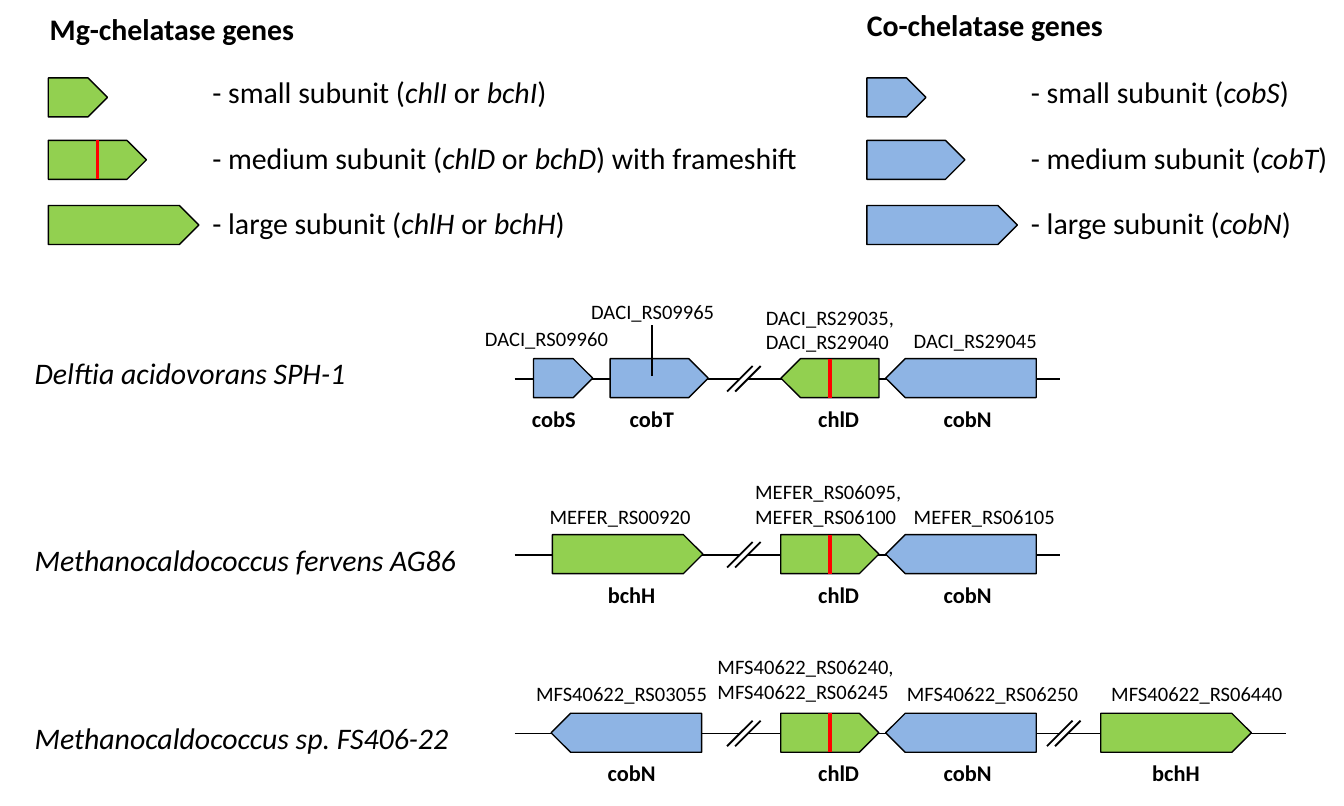
from lxml.etree import SubElement
from pptx import Presentation
from pptx.dml.color import RGBColor
from pptx.enum.shapes import MSO_CONNECTOR as Link, MSO_SHAPE as Kind
from pptx.enum.text import MSO_ANCHOR as Anchor, MSO_AUTO_SIZE as Fit, PP_ALIGN as Align
from pptx.oxml.ns import qn
from pptx.util import Inches, Pt

COLS, ROWS = 100, 60
GREEN, BLUE, SKY = "92D050", "8EB4E4", "8EB4E3"
GENES = {
    "chlI": (4.4, GREEN), "chlD": (7.3, GREEN), "chlH": (11.2, GREEN), "bchH": (11.2, GREEN),
    "cobS": (4.4, SKY), "cobT": (7.3, BLUE), "cobN": (11.2, BLUE),
}


def tint(code):
    return RGBColor.from_string(code)


def write(frame, text, size=16, bold=False, slant=False, align=Align.LEFT, after=0, color="000000"):
    frame.word_wrap = True
    frame.auto_size = Fit.NONE
    frame.vertical_anchor = Anchor.TOP
    for num, line in enumerate(text.split("\n")):
        para = frame.add_paragraph() if num else frame.paragraphs[0]
        para.alignment = align
        para.line_spacing = 1.0
        para.space_before, para.space_after = Pt(0), Pt(after)
        props = para._p.get_or_add_pPr()
        props.set("marL", "0")
        props.set("indent", "0")
        SubElement(props, qn("a:buNone"))
        for part, piece in enumerate(line.split("*")):
            if piece:
                run = para.add_run()
                run.text = piece
                font = run.font
                font.name, font.size, font.bold = "Calibri", Pt(size), bold
                font.italic = slant or part % 2 == 1
                font.color.rgb = tint(color)


class Map:
    """Draws gene maps on one slide, measured in grid columns and rows."""

    def __init__(self, deck):
        self.wide, self.high = deck.slide_width, deck.slide_height
        self.slide = deck.slides.add_slide(deck.slide_layouts[4])
        self.ink, self.mark, self.tall = "000000", "FF0000", 2.9

    def grid(self, x, y):
        return round(x * self.wide / COLS), round(y * self.high / ROWS)

    def hold(self, idx, x, y, w, h, text, **style):
        spot = self.slide.placeholders[idx]
        spot.left, spot.top = self.grid(x, y)
        spot.width, spot.height = self.grid(w, h)
        write(spot.text_frame, text, **style)

    def drop(self, idx):
        node = self.slide.placeholders[idx]._element
        node.getparent().remove(node)

    def text(self, x, y, w, h, text, **style):
        box = self.slide.shapes.add_textbox(*self.grid(x, y), *self.grid(w, h))
        write(box.text_frame, text, **style)

    def line(self, x1, y1, x2, y2, color=None, width=1):
        link = self.slide.shapes.add_connector(Link.STRAIGHT, *self.grid(x1, y1), *self.grid(x2, y2))
        link.line.color.rgb = tint(color or self.ink)
        link.line.width = Pt(width)
        SubElement(link._element.spPr, qn("a:effectLst"))

    def gene(self, name, x, y, back=False):
        width, fill = GENES[name]
        plate = self.slide.shapes.add_shape(Kind.PENTAGON, *self.grid(x, y), *self.grid(width, self.tall))
        plate.shadow.inherit = False
        plate.fill.solid()
        plate.fill.fore_color.rgb = tint(fill)
        plate.line.color.rgb = tint(self.ink)
        plate.line.width = Pt(0.75)
        plate.rotation = 180 if back else 0
        if name == "chlD":
            mid = x + width / 2
            self.line(mid, y, mid, y + self.tall, self.mark, 2)

    def track(self, axis, *spans):
        for start, end in spans:
            self.line(start, axis, end, axis)
        for start, _ in spans[1:]:
            for shift in (-1.5, -0.9):
                left = start + shift
                self.line(left, axis + 0.95, left + 1.9, axis - 0.95)

    def locus(self, axis, wide, name, x, back, mid, tag, left, lift):
        self.gene(name, x, axis - 1.5, back)
        self.text(mid - 2.9, axis + 1.45, 5.8, 3, name, size=12, bold=True, align=Align.CENTER)
        pair = tag.count("_") > 1
        self.text(left, axis - lift, wide + 0.4 * pair, 4.7 if pair else 2.9, tag, size=11)


deck = Presentation()
deck.slide_width, deck.slide_height = Inches(10), Inches(6)
page = Map(deck)

page.hold(0, 2.7, 0.3, 26.4, 3.7, "Mg-chelatase genes", bold=True)
page.hold(3, 63.5, 0, 26.4, 3.7, "Co-chelatase genes", bold=True)
page.drop(1)
page.hold(2, 14.8, 5, 46.9, 13.6,
          "- small subunit (*chlI* or *bchI*)\n"
          "- medium subunit (*chlD* or *bchD*) with frameshift\n"
          "- large subunit (*chlH* or *bchH*)", after=16)
page.hold(4, 75.7, 5, 24.4, 13.6,
          "- small subunit (*cobS*)\n- medium subunit (*cobT*)\n- large subunit (*cobN*)", after=16)
for left, names in ((3.6, ("chlI", "chlD", "chlH")), (64.5, ("cobS", "cobT", "cobN"))):
    for name, top in zip(names, (5.8, 10.45, 15.3)):
        page.gene(name, left, top)

FRONT, REAR, LAST = (38.3, 55), (55.6, 78.9), (79.4, 95.7)
TRACKS = [
    ("Delftia acidovorans SPH-1", 28.2, 25.9, 11.9, (FRONT, REAR), [
        ("cobS", 39.7, False, 41.2, "DACI_RS09960", 35.1, 4.4),
        ("cobT", 45.4, False, 48.5, "DACI_RS09965", 43, 6.4),
        ("chlD", 58.1, True, 62.4, "DACI_RS29035,\nDACI_RS29040", 56, 6),
        ("cobN", 65.9, True, 72, "DACI_RS29045", 67, 4.3)]),
    ("Methanocaldococcus fervens AG86", 41.3, 39.8, 13.1, (FRONT, REAR), [
        ("bchH", 41.1, False, 47, "MEFER_RS00920", 39.9, 4.3),
        ("chlD", 58.1, False, 62.4, "MEFER_RS06095,\nMEFER_RS06100", 55.2, 6.1),
        ("cobN", 65.9, True, 72, "MEFER_RS06105", 67, 4.3)]),
    ("Methanocaldococcus sp. FS406-22", 54.6, 53.1, 15, (FRONT, REAR, LAST), [
        ("cobN", 41, True, 47, "MFS40622_RS03055", 38.9, 4.4),
        ("chlD", 58.1, False, 62.4, "MFS40622_RS06240, MFS40622_RS06245", 52.4, 6.4),
        ("cobN", 65.9, True, 72, "MFS40622_RS06250", 66.5, 4.4),
        ("bchH", 81.9, False, 87.5, "MFS40622_RS06440", 81.7, 4.4)]),
]
for title, axis, top, wide, spans, genes in TRACKS:
    page.text(1.6, top, 36.7, 3.7, title, slant=True)
    page.track(axis, *spans)
    for item in genes:
        page.locus(axis, wide, *item)
page.line(48.5, 28, 48.5, 24.2)

deck.save("out.pptx")
